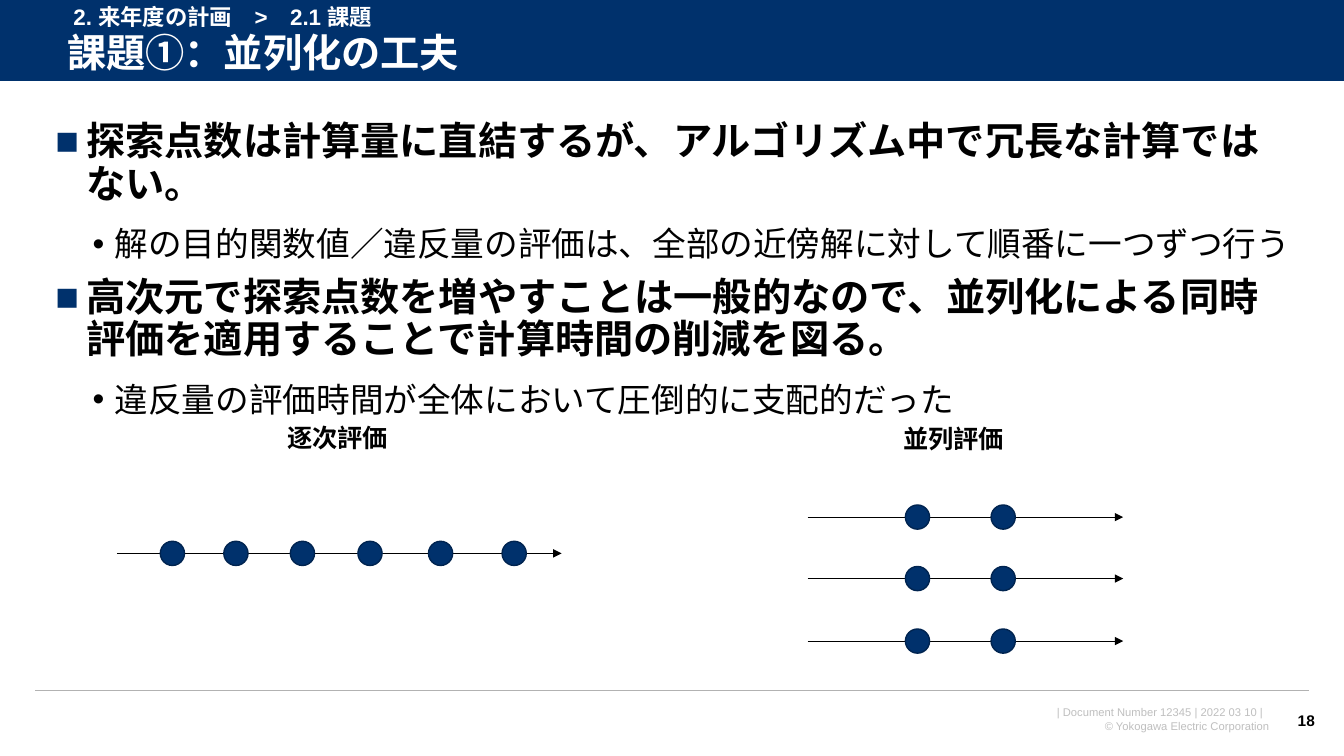
from lxml import etree
from pptx import Presentation
from pptx.dml.color import RGBColor
from pptx.enum.shapes import MSO_CONNECTOR, MSO_SHAPE
from pptx.enum.text import MSO_ANCHOR, PP_ALIGN
from pptx.oxml.ns import qn
from pptx.util import Inches, Pt

LINE = MSO_CONNECTOR.STRAIGHT
RECT, OVAL = MSO_SHAPE.RECTANGLE, MSO_SHAPE.OVAL
TOP, MIDDLE = MSO_ANCHOR.TOP, MSO_ANCHOR.MIDDLE
LEFT, RIGHT = PP_ALIGN.LEFT, PP_ALIGN.RIGHT
FONT = "Arial"
COLORS = {"navy": "00316C", "navy_edge": "002450", "white": "FFFFFF",
          "black": "000000", "rule": "B2B2B2", "footer": "BFBFBF"}
DOT = 0.24


def rgb(name):
    """Return the named colour."""
    return RGBColor.from_string(COLORS[name])


def style(p, size, color, bold):
    """Format every run of a paragraph."""
    for r in p.runs:
        r.font.name, r.font.size, r.font.bold = FONT, Pt(size), bold
        r.font.color.rgb = rgb(color)


def add_text(s, box, text, size, color="black", bold=True, align=LEFT,
             anchor=TOP, wrap=True):
    """Add a text box and return its text frame."""
    tf = s.shapes.add_textbox(*map(Inches, box)).text_frame
    tf.word_wrap, tf.vertical_anchor = wrap, anchor
    tf.text = text
    for p in tf.paragraphs:
        p.alignment = align
        style(p, size, color, bold)
    return tf


def add_line(s, x1, x2, y, color, width, arrow=False):
    """Draw a horizontal line, with an arrowhead if asked."""
    line = s.shapes.add_connector(LINE, Inches(x1), Inches(y), Inches(x2), Inches(y))
    line.line.color.rgb = rgb(color)
    line.line.width = Pt(width)
    if arrow:
        etree.SubElement(line.line._get_or_add_ln(), qn("a:tailEnd"), type="triangle")
    etree.SubElement(line._element.spPr, qn("a:effectLst"))


def add_shape(s, kind, box, edge=None):
    """Add a navy shape."""
    sp = s.shapes.add_shape(kind, *map(Inches, box))
    sp.shadow.inherit = False
    sp.fill.solid()
    sp.fill.fore_color.rgb = rgb("navy")
    if edge:
        sp.line.color.rgb = rgb(edge)
        sp.line.width = Pt(1)
    else:
        sp.line.fill.background()


def set_bullet(p, char, margin, hang, color):
    """Give a paragraph a coloured bullet and a hanging indent."""
    pPr = p._p.get_or_add_pPr()
    pPr.set("marL", str(Inches(margin)))
    pPr.set("indent", str(-Inches(hang)))
    clr = etree.SubElement(pPr, qn("a:buClr"))
    etree.SubElement(clr, qn("a:srgbClr"), val=COLORS[color])
    etree.SubElement(pPr, qn("a:buFont"), typeface=FONT)
    etree.SubElement(pPr, qn("a:buChar"), char=char)


def header(s, x, y, w, h, crumb, title):
    """Draw the title band with its breadcrumb."""
    add_shape(s, RECT, (x, y, w, h))
    add_line(s, x, x + w, y + h, "white", 0.75)
    tf = add_text(s, (x + 0.57, y + 0.26, 12.47, 0.57), title, 28, "white", anchor=MIDDLE)
    tf.paragraphs[0].line_spacing = 0.9
    add_text(s, (x + 0.63, y - 0.02, 4.95, 0.37), crumb, 16, "white")


def footer(s, x, y, w, lines, number):
    """Draw the footer rule, document lines and page number."""
    add_line(s, x, x + w, y, "rule", 1)
    add_text(s, (x + 9.13, y + 0.1, 3.21, 0.37), "\n".join(lines), 8, "footer",
             bold=False, align=RIGHT)
    add_text(s, (x + 12.35, y + 0.1, 0.44, 0.4), number, 11, align=RIGHT,
             anchor=MIDDLE, wrap=False)


def body(s, x, y, w, h, items):
    """Write the two-level bullet list."""
    tf = add_text(s, (x, y, w, h), "\n".join(text for _, text in items), 28)
    for i, (p, (level, _)) in enumerate(zip(tf.paragraphs, items)):
        p.level = level
        p.line_spacing = 1.0 if level else 0.9
        p.space_before = Pt((12 if level else 10) if i else 0)
        if level:
            set_bullet(p, "•", 0.59, 0.22, "black")
            style(p, 24, "black", False)
        else:
            set_bullet(p, "■", 0.31, 0.31, "navy")


def timelines(s, x, w, label, label_box, rows, dots):
    """Draw a labelled group of arrows, each with dots at the given offsets."""
    add_text(s, label_box, label, 18, wrap=False)
    for y in rows:
        add_line(s, x, x + w, y, "black", 0.5, arrow=True)
        for dx in dots:
            add_shape(s, OVAL, (x + dx, y - DOT / 2, DOT, DOT), "navy_edge")


def main():
    """Build and save the slide."""
    prs = Presentation()
    prs.slide_width, prs.slide_height = Inches(13.33), Inches(7.5)
    s = prs.slides.add_slide(prs.slide_layouts[6])
    header(s, 0, 0, 13.33, 0.81, "2. 来年度の計画　>　2.1 課題", "課題①：並列化の工夫")
    body(s, 0.45, 1.16, 12.47, 2.65, [
        (0, "探索点数は計算量に直結するが、アルゴリズム中で冗長な計算ではない。"),
        (1, "解の目的関数値／違反量の評価は、全部の近傍解に対して順番に一つずつ行う"),
        (0, "高次元で探索点数を増やすことは一般的なので、並列化による同時評価を適用することで計算時間の削減を図る。"),
        (1, "違反量の評価時間が全体において圧倒的に支配的だった"),
    ])
    timelines(s, 1.16, 4.41, "逐次評価", (2.75, 4.14, 1.24, 0.4), [5.49],
              [0.43, 1.06, 1.72, 2.39, 3.09, 3.82])
    timelines(s, 8.01, 3.13, "並列評価", (8.86, 4.15, 1.21, 0.4), [5.13, 5.74, 6.36],
              [0.97, 1.82])
    footer(s, 0.35, 6.85, 12.63,
           ["| Document Number 12345 | 2022 03 10 |  ", "© Yokogawa Electric Corporation"], "18")
    prs.save("out.pptx")


if __name__ == "__main__":
    main()
